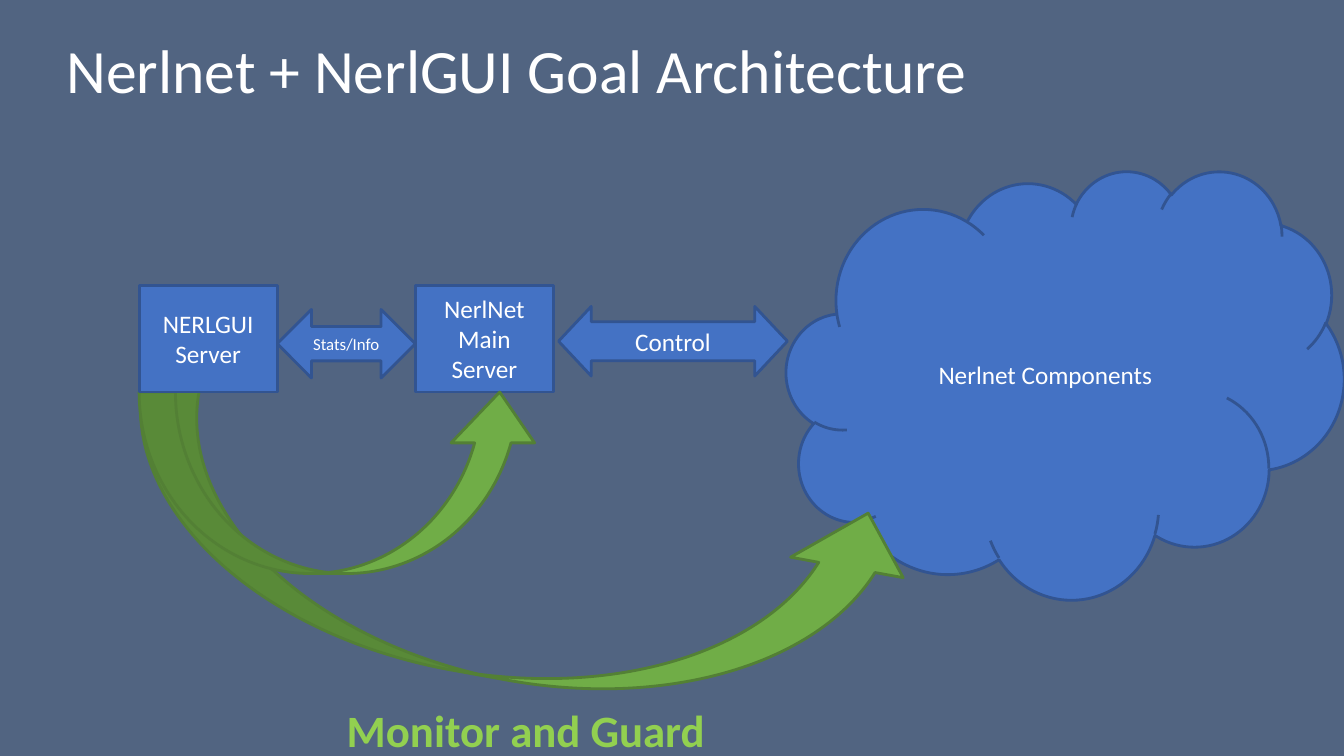
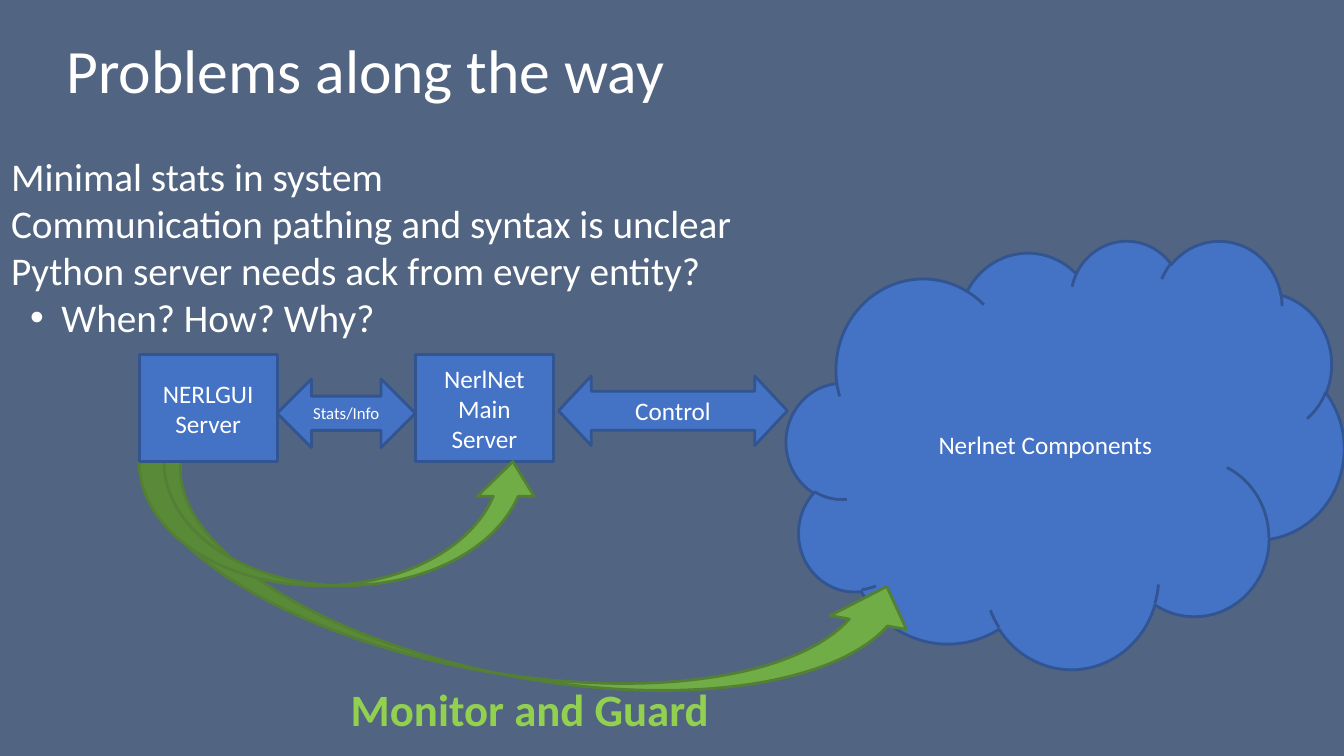
from pptx import Presentation
from pptx.dml.color import RGBColor
from pptx.enum.shapes import MSO_SHAPE as Preset
from pptx.enum.text import MSO_ANCHOR as Anchor, MSO_AUTO_SIZE as AutoSize, PP_ALIGN as Align
from pptx.oxml.xmlchemy import OxmlElement
from pptx.util import Inches, Pt

SLATE = RGBColor(0x51, 0x64, 0x81)
BLUE = RGBColor(0x44, 0x72, 0xC4)
BLUE_EDGE = RGBColor(0x32, 0x54, 0x91)
GREEN = RGBColor(0x70, 0xAD, 0x47)
GREEN_EDGE = RGBColor(0x53, 0x80, 0x35)
LIME = RGBColor(0x92, 0xD0, 0x50)
WHITE = RGBColor(0xFF, 0xFF, 0xFF)

TITLE_ONLY, TITLE_AND_BODY = 5, 1
SERVER_WIDTH, SERVER_HEIGHT = 1.37, 1.06
GUI_LEFT = 1.38
STATS_LEFT = GUI_LEFT + SERVER_WIDTH
MAIN_LEFT = STATS_LEFT + SERVER_WIDTH


def apply(target, values):
    for name, value in values.items():
        setattr(target, name, value)


def place(shape, left, top, width, height):
    apply(shape, {"left": Inches(left), "top": Inches(top),
                  "width": Inches(width), "height": Inches(height)})


class Deck:
    frame_format = {"word_wrap": True, "auto_size": AutoSize.NONE}

    def __init__(self):
        self.prs = Presentation()
        apply(self.prs, {"slide_width": Inches(13.33), "slide_height": Inches(7.5)})
        background = self.prs.slide_master.background.fill
        background.solid()
        background.fore_color.rgb = SLATE
        self.slide = None

    def set_text(self, frame, lines, size, color=WHITE, bold=False, paragraph_format=None):
        apply(frame, self.frame_format)
        frame.text = "\n".join(lines)
        for paragraph in frame.paragraphs:
            apply(paragraph, paragraph_format or {})
            for run in paragraph.runs:
                apply(run.font, {"name": "Calibri", "size": Pt(size), "bold": bold})
                run.font.color.rgb = color

    def new_slide(self, title, layout):
        self.slide = self.prs.slides.add_slide(self.prs.slide_layouts[layout])
        heading = self.slide.shapes.title
        place(heading, 0.56, 0.21, 11.5, 1.03)
        self.set_text(heading.text_frame, [title], 44,
                      paragraph_format={"alignment": Align.LEFT, "line_spacing": 0.9})
        heading.text_frame.vertical_anchor = Anchor.MIDDLE

    def problems(self, box, items):
        body = self.slide.placeholders[1]
        place(body, *box)
        self.set_text(body.text_frame, [text for text, _ in items], 28,
                      paragraph_format={"alignment": Align.LEFT, "space_before": Pt(0)})
        for paragraph, (_, level) in zip(body.text_frame.paragraphs, items):
            paragraph.level = level
            props = paragraph._p.get_or_add_pPr()
            props.set("marL", str(Inches(0.5 * level)))
            props.set("indent", str(Inches(-0.31 * level)))
            bullet = OxmlElement("a:buChar" if level else "a:buNone")
            if level:
                font = OxmlElement("a:buFont")
                font.set("typeface", "Arial")
                props.append(font)
                bullet.set("char", "•")
            props.append(bullet)

    def block(self, preset, box, lines=(), size=18, fill=BLUE, edge=BLUE_EDGE,
              adjustments=(), rotation=0):
        shape = self.slide.shapes.add_shape(preset, *map(Inches, box))
        shape.rotation = rotation
        shape.shadow.inherit = False
        shape.fill.solid()
        shape.fill.fore_color.rgb = fill
        shape.line.color.rgb = edge
        shape.line.width = Pt(2)
        for index, value in enumerate(adjustments):
            shape.adjustments[index] = value
        if lines:
            self.set_text(shape.text_frame, lines, size,
                          paragraph_format={"alignment": Align.CENTER})
            shape.text_frame.vertical_anchor = Anchor.MIDDLE

    def guard_arrow(self, box, adjustments, rotation=0):
        self.block(Preset.CURVED_UP_ARROW, box, fill=GREEN, edge=GREEN_EDGE,
                   adjustments=adjustments, rotation=rotation)

    def caption(self, left, top, text):
        label = self.slide.shapes.add_textbox(*map(Inches, (left, top, 6.75, 0.63)))
        self.set_text(label.text_frame, [text], 32, LIME, True)

    def architecture(self, top, long_arrow, short_arrow_height, caption_at):
        server_size = (SERVER_WIDTH, SERVER_HEIGHT)
        self.block(Preset.RECTANGLE, (MAIN_LEFT, top, *server_size), ["NerlNet Main Server"])
        self.block(Preset.LEFT_RIGHT_ARROW, (STATS_LEFT, top + 0.24, SERVER_WIDTH, 0.68),
                   ["Stats/Info"], 12, adjustments=(0.5, 0.5))
        self.block(Preset.CLOUD, (7.8, top - 1.14, 5.53, 4.25), ["Nerlnet Components"])
        self.block(Preset.LEFT_RIGHT_ARROW, (5.54, top + 0.21, 2.27, 0.69),
                   ["Control"], adjustments=(0.56, 0.47))
        self.guard_arrow(long_arrow, (0.25, 0.5, 0.25), 10.3)
        self.guard_arrow((GUI_LEFT, top + SERVER_HEIGHT, 3.99, short_arrow_height),
                         (0.2, 0.46, 0.28))
        self.caption(*caption_at, "Monitor and Guard")
        self.block(Preset.RECTANGLE, (GUI_LEFT, top, *server_size), ["NERLGUI", "Server"])


def main():
    deck = Deck()
    deck.new_slide("Nerlnet + NerlGUI Goal Architecture", TITLE_ONLY)
    deck.architecture(2.83, (1.15, 4.47, 7.88, 2.27), 1.8, (3.34, 6.92))

    deck.new_slide("Problems along the way", TITLE_AND_BODY)
    deck.architecture(3.52, (1.22, 5.17, 7.88, 1.54), 1.23, (3.38, 6.71))
    deck.problems((0.01, 1.46, 9.16, 1.96), [
        ("Minimal stats in system", 0),
        ("Communication pathing and syntax is unclear", 0),
        ("Python server needs ack from every entity?", 0),
        ("When? How? Why?", 1),
    ])
    deck.prs.save("out.pptx")


if __name__ == "__main__":
    main()
